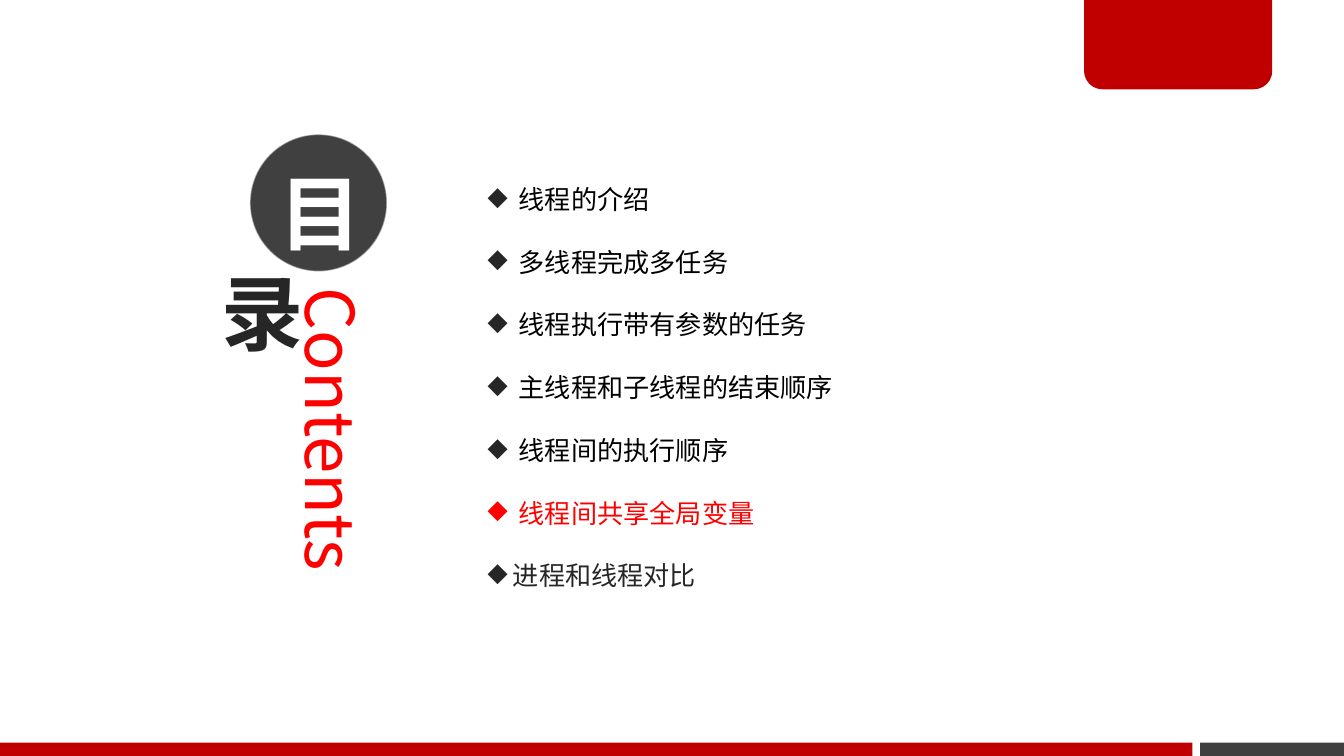
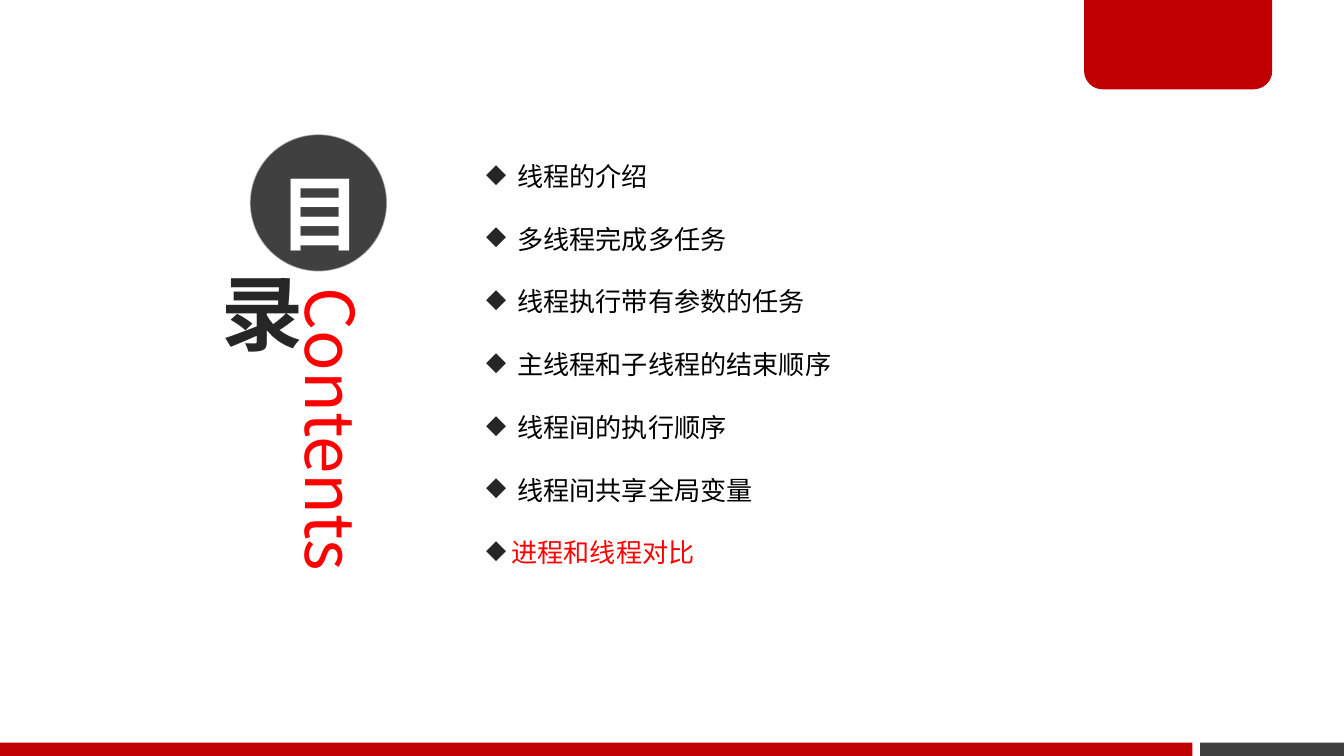
from lxml import etree
from pptx import Presentation
from pptx.dml.color import RGBColor
from pptx.enum import shapes, text
from pptx.oxml import ns
from pptx.util import Pt

COLOURS = {
    "band": "C00000",
    "dark": "404040",
    "ink": "262626",
    "black": "000000",
    "accent": "FF0000",
    "white": "FFFFFF",
}
FONT = "Noto Sans CJK SC"
WIDTH, HEIGHT = 720, 405
FOOTER_HEIGHT = 7.2
SIDE_INSETS = (5, 3, 5, 3)
TOPICS = [
    " 线程的介绍",
    " 多线程完成多任务",
    " 线程执行带有参数的任务",
    " 主线程和子线程的结束顺序",
    " 线程间的执行顺序",
    " 线程间共享全局变量",
    "进程和线程对比",
]


def colour(name):
    return RGBColor.from_string(COLOURS[name])


def add_xml(parent, tag, **attributes):
    return etree.SubElement(parent, ns.qn(tag), attributes)


def style_run(run, size, name, bold=False):
    run.font.size = Pt(size)
    run.font.bold = bold
    run.font.name = FONT
    run.font.color.rgb = colour(name)
    add_xml(run.font._element, "a:ea", typeface=FONT)


def set_insets(frame, insets):
    frame.margin_left, frame.margin_top, frame.margin_right, frame.margin_bottom = map(Pt, insets)


def add_filled(page, kind, box, fill=None):
    """Add a preset shape without line or shadow; no fill name means no fill."""
    shape = page.shapes.add_shape(kind, *map(Pt, box))
    shape.shadow.inherit = False
    shape.line.fill.background()
    if fill:
        shape.fill.solid()
        shape.fill.fore_color.rgb = colour(fill)
    else:
        shape.fill.background()
    return shape


def add_frame(page):
    """Draw the corner tab and the two footer bands."""
    shape_type = shapes.MSO_SHAPE
    top = HEIGHT - FOOTER_HEIGHT
    add_filled(page, shape_type.RECTANGLE, (643, top, WIDTH - 643, FOOTER_HEIGHT), "dark")
    tab = add_filled(page, shape_type.ROUND_2_SAME_RECTANGLE, (580.8, -1.2, 100.8, 49), "band")
    tab.adjustments[0] = 0
    tab.adjustments[1] = 0.2
    add_filled(page, shape_type.RECTANGLE, (0, top, 638.8, FOOTER_HEIGHT), "band")


def add_title_sign(page, box, sign, name, insets, fill=None):
    """Add one large character of the title in a circle."""
    circle = add_filled(page, shapes.MSO_SHAPE.OVAL, box, fill)
    frame = circle.text_frame
    frame.text = sign
    frame.vertical_anchor = text.MSO_ANCHOR.MIDDLE
    set_insets(frame, insets)
    para = frame.paragraphs[0]
    para.alignment = text.PP_ALIGN.CENTER
    style_run(para.runs[0], 44, name, bold=True)
    return circle


def outline_text(run, name, width):
    line = etree.Element(ns.qn("a:ln"), w=str(Pt(width)))
    add_xml(add_xml(line, "a:solidFill"), "a:srgbClr", val=COLOURS[name])
    run.font._element.insert(0, line)


def add_title(page, left, top):
    caption = page.shapes.add_textbox(Pt(left + 49), Pt(top + 79.2), Pt(50.4), Pt(208))
    frame = caption.text_frame
    frame.text = "Contents"
    frame.word_wrap = True
    set_insets(frame, SIDE_INSETS)
    frame._txBody.bodyPr.set("vert", "eaVert")
    style_run(frame.paragraphs[0].runs[0], 36, "accent")

    first = add_title_sign(page, (left + 28.8, top, 73.4, 73.4), "目", "white", (5, 3, 5, 11), "dark")
    first.text_frame.paragraphs[0].line_spacing = Pt(70)
    first.line.color.rgb = colour("white")
    first.line.width = Pt(0)
    line_colour = first.line._ln.find(".//" + ns.qn("a:srgbClr"))
    add_xml(line_colour, "a:alpha", val="49000")

    second = add_title_sign(page, (left, top + 66.2, 57.6, 57.6), "录", "ink", SIDE_INSETS)
    outline_text(second.text_frame.paragraphs[0].runs[0], "white", 0.25)


def add_bullet(para, name):
    props = para._p.get_or_add_pPr()
    props.set("marL", str(Pt(13.5)))
    props.set("indent", str(-Pt(13.5)))
    add_xml(add_xml(props, "a:buClr"), "a:srgbClr", val=COLOURS[name])
    add_xml(props, "a:buChar", char="◆")


def add_topics(page, box, text_colours, bullet_colours):
    """List the topics; the colour dicts give the exceptions by topic index."""
    frame = page.shapes.add_textbox(*map(Pt, box)).text_frame
    frame.text = "\n".join(TOPICS)
    frame.word_wrap = True
    frame.auto_size = text.MSO_AUTO_SIZE.SHAPE_TO_FIT_TEXT
    for index, para in enumerate(frame.paragraphs):
        para.line_spacing = 2.0
        add_bullet(para, bullet_colours.get(index, "ink"))
        style_run(para.runs[0], 14, text_colours.get(index, "black"))


def add_contents_page(deck, list_left, list_top, text_colours, bullet_colours):
    page = deck.slides.add_slide(deck.slide_layouts[6])
    add_frame(page)
    add_title(page, 105.1, 72)
    add_topics(page, (list_left, list_top, 340, 273.6), text_colours, bullet_colours)


def main():
    deck = Presentation()
    deck.slide_width, deck.slide_height = Pt(WIDTH), Pt(HEIGHT)
    add_contents_page(deck, 254.2, 77.8, {5: "accent", 6: "ink"}, {5: "accent"})
    add_contents_page(deck, 253.4, 65.5, {6: "accent"}, {})
    deck.save("out.pptx")


if __name__ == "__main__":
    main()
